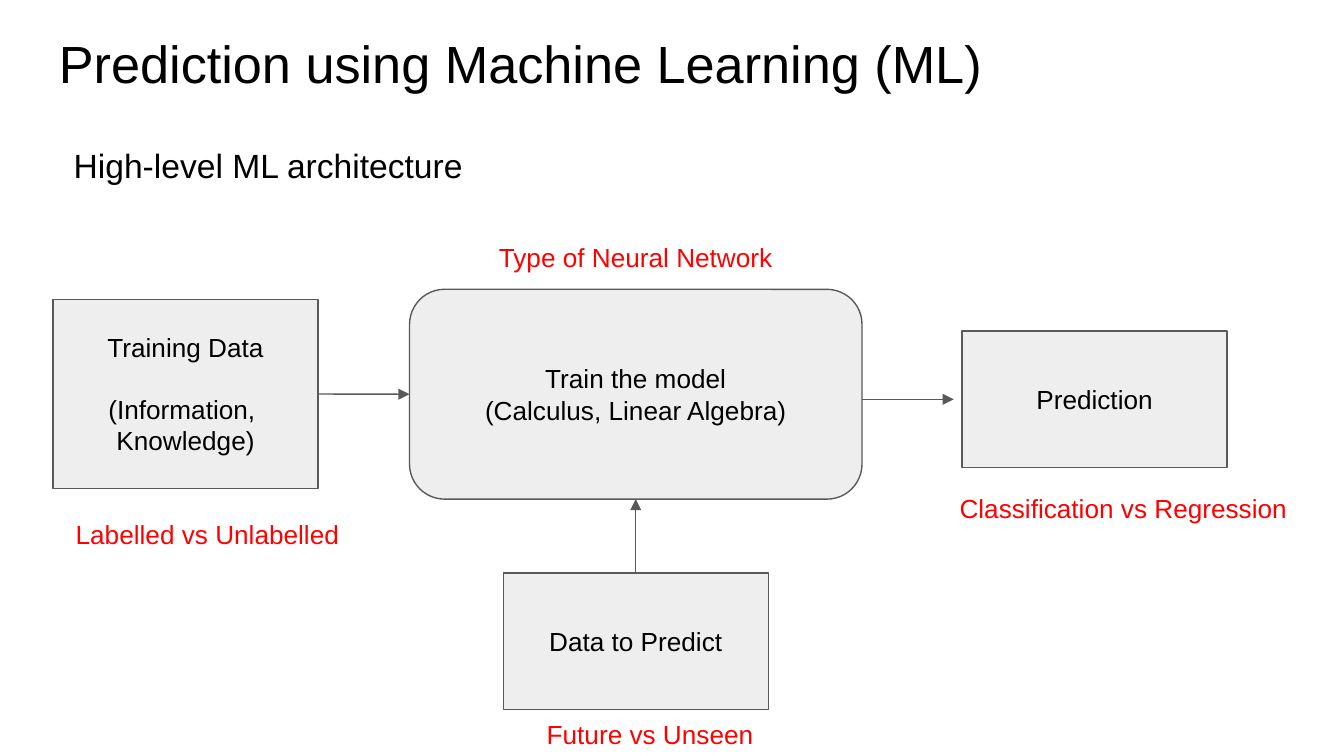
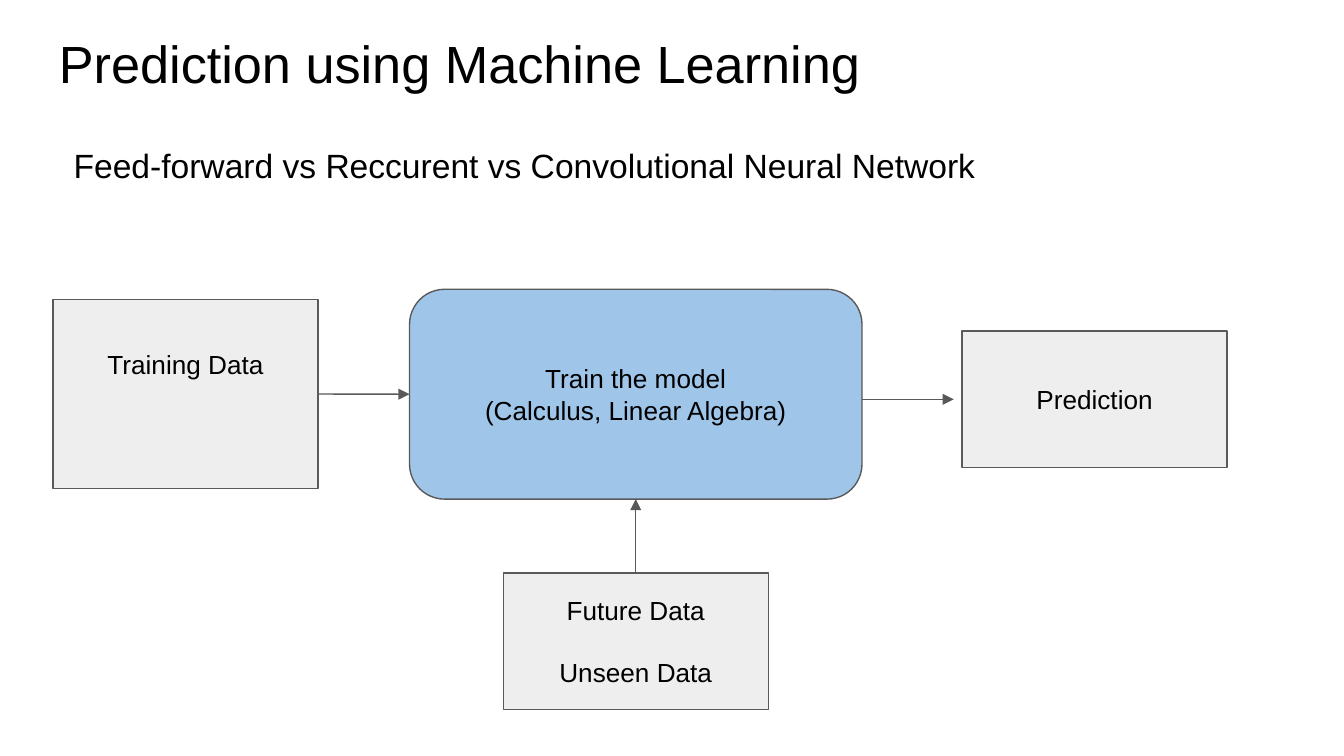
from lxml.etree import SubElement
from pptx import Presentation
from pptx.dml.color import RGBColor
from pptx.enum.shapes import MSO_CONNECTOR as Link, MSO_SHAPE as Shape
from pptx.enum.text import MSO_ANCHOR as Anchor, PP_ALIGN as Align
from pptx.oxml.ns import qn
from pptx.util import Pt

# Shared style
COLORS = {"text": "000000", "note": "FF0000", "box": "EEEEEE",
          "focus": "9FC5E8", "line": "595959"}
FONT = "Arial"
TITLE_SIZE, SUBTITLE_SIZE, BODY_SIZE = 28, 18, 14
INSET = 7.2
GAP = 16.2  # one empty line of body text

# Places: left, top, width, height
TITLE_AREA = (24.5, 9.4, 671, 45.4)
SUBTITLE_AREA = (32.4, 70.6, 507, 45)
BOXES = {
    "training": (Shape.RECTANGLE, (28.4, 160.5, 142, 101.2)),
    "model": (Shape.ROUNDED_RECTANGLE, (219.4, 155, 242.4, 112.4)),
    "input": (Shape.RECTANGLE, (269.6, 306.9, 142, 73.3)),
    "prediction": (Shape.RECTANGLE, (515.4, 177.3, 142, 73.3)),
}
TOP, LEFT, BOTTOM, RIGHT = range(4)
JOINS = [("training", RIGHT, "model", LEFT), ("input", TOP, "model", BOTTOM)]
RESULT_ARROW = (461.8, 511)  # start and end, level with the prediction box

# Content: a box has (line, space before) pairs
MODEL_LINES = [("Train the model", 0), ("(Calculus, Linear Algebra)", 0)]
SLIDES = [
    {
        "title": "Prediction using Machine Learning (ML)",
        "subtitle": "High-level ML architecture",
        "boxes": {
            "training": [("Training Data", 0), ("(Information, ", GAP),
                         ("Knowledge)", 0)],
            "model": MODEL_LINES,
            "input": [("Data to Predict", 0)],
            "prediction": [("Prediction", 0)],
        },
        "notes": [
            ("Labelled vs Unlabelled", (28.4, 270.6, 165.6, 39.6)),
            ("Future vs Unseen", (265.5, 377.5, 165.6, 32.4)),
            ("Classification vs Regression", (496, 256.6, 211.7, 32.4)),
            ("Type of Neural Network", (257.8, 122.2, 165.6, 32.4)),
        ],
    },
    {
        "title": "Prediction using Machine Learning",
        "subtitle": "Feed-forward vs Reccurent vs Convolutional Neural Network",
        "boxes": {
            "training": [("Training Data", 0)],
            "model": MODEL_LINES,
            "input": [("Future Data", 0), ("Unseen Data", GAP)],
            "prediction": [("Prediction", 0)],
        },
        "focus": "model",
        "raised": {"training": 2 * GAP},
        "notes": [],
    },
]


def color(name):
    return RGBColor.from_string(COLORS[name])


def write(shape, lines, size, ink="text", align=Align.CENTER,
          anchor=Anchor.TOP, raised=0):
    frame = shape.text_frame
    frame.word_wrap = True
    frame.vertical_anchor = anchor
    frame.margin_left = frame.margin_right = frame.margin_top = Pt(INSET)
    frame.margin_bottom = Pt(INSET + raised)
    for index, (text, before) in enumerate(lines):
        para = frame.add_paragraph() if index else frame.paragraphs[0]
        para.alignment = align
        para.space_before = Pt(before)
        span = para.add_run()
        span.text = text
        span.font.name = FONT
        span.font.size = Pt(size)
        span.font.color.rgb = color(ink)


def add_text(page, text, area, size, **style):
    write(page.shapes.add_textbox(*map(Pt, area)), [(text, 0)], size, **style)


def add_box(page, name, lines, fill, raised):
    kind, area = BOXES[name]
    box = page.shapes.add_shape(kind, *map(Pt, area))
    box.shadow.inherit = False
    box.fill.solid()
    box.fill.fore_color.rgb = color(fill)
    box.line.color.rgb = color("line")
    box.line.width = Pt(0.75)
    write(box, lines, BODY_SIZE, anchor=Anchor.MIDDLE, raised=raised)
    return box


def add_arrow(page, start=(0, 0), end=(0, 0)):
    arrow = page.shapes.add_connector(Link.STRAIGHT, *map(Pt, (*start, *end)))
    arrow.line.color.rgb = color("line")
    arrow.line.width = Pt(0.75)
    properties = arrow.line._get_or_add_ln()
    SubElement(properties, qn("a:tailEnd"), type="triangle")
    SubElement(properties.getparent(), qn("a:effectLst"))
    return arrow


def add_diagram(page, content):
    boxes = {}
    for name, lines in content["boxes"].items():
        fill = "focus" if name == content.get("focus") else "box"
        raised = content.get("raised", {}).get(name, 0)
        boxes[name] = add_box(page, name, lines, fill, raised)
    for source, source_side, target, target_side in JOINS:
        arrow = add_arrow(page)
        arrow.begin_connect(boxes[source], source_side)
        arrow.end_connect(boxes[target], target_side)
    _, (_, top, _, height) = BOXES["prediction"]
    level = top + height / 2
    start, end = RESULT_ARROW
    add_arrow(page, (start, level), (end, level))


def main():
    deck = Presentation()
    deck.slide_width, deck.slide_height = Pt(720), Pt(405)
    for content in SLIDES:
        page = deck.slides.add_slide(deck.slide_layouts[6])
        add_text(page, content["title"], TITLE_AREA, TITLE_SIZE, align=Align.LEFT)
        add_diagram(page, content)
        add_text(page, content["subtitle"], SUBTITLE_AREA, SUBTITLE_SIZE,
                 align=Align.LEFT)
        for text, area in content["notes"]:
            add_text(page, text, area, BODY_SIZE, ink="note")
    deck.save("out.pptx")


if __name__ == "__main__":
    main()
